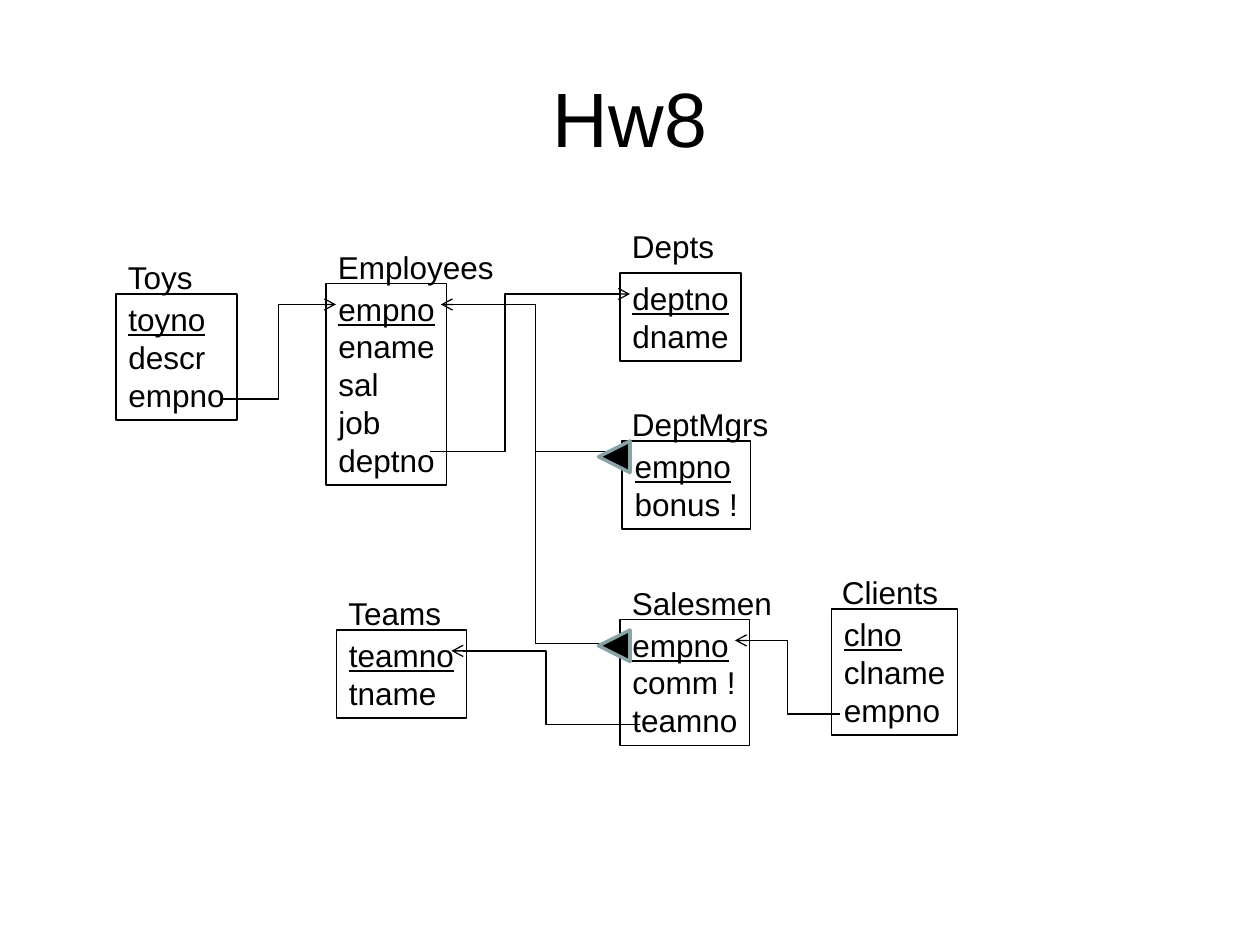
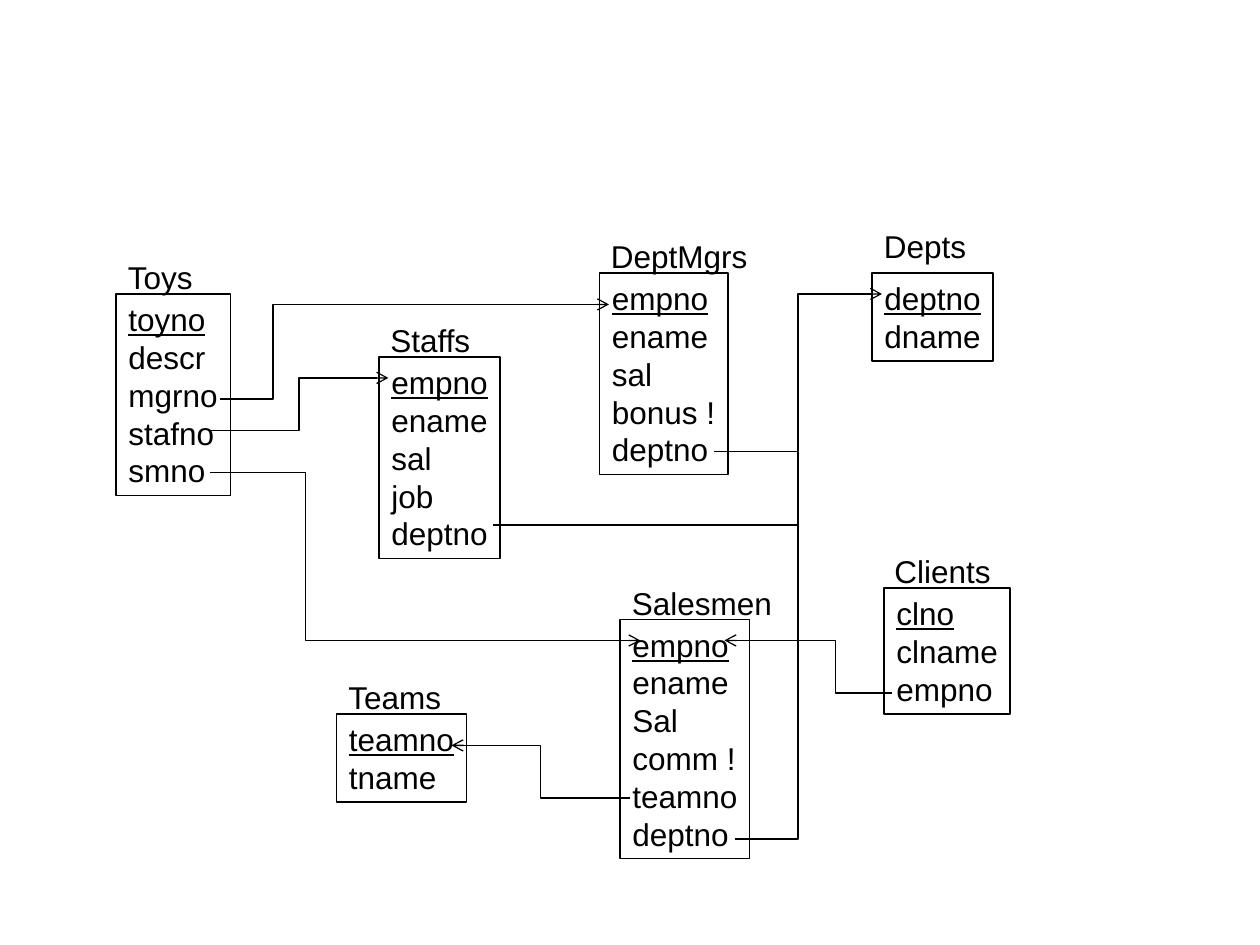
"""Build two relational schema diagrams on a grid of twelfths of an inch."""
import pptx
import pptx.util
import pptx.dml.color
import pptx.enum.shapes
import pptx.enum.text
import pptx.oxml.ns
from lxml import etree

BLACK = pptx.dml.color.RGBColor(0x00, 0x00, 0x00)
GREY_TEAL = pptx.dml.color.RGBColor(0x89, 0xA4, 0xA7)
FONT = "Arial"
CELLS_PER_INCH = 12
ROW_HEIGHT = 0.3
INSET = 0.05
LABEL_RISE = 4
LABEL_WIDTHS = {
    "Toys": 0.74, "Employees": 1.43, "Staffs": 0.84, "Depts": 0.85,
    "DeptMgrs": 1.28, "Salesmen": 1.31, "Teams": 0.96, "Clients": 0.96,
}

# Tables: name, column, row, width in inches, fields (the first is the key).
# Links: start, column of the vertical part, end, arrow at the end.
DIAGRAMS = [
    {
        "title": "Hw8",
        "tables": [
            ("Toys", 11.05, 28, 0.96, ["toyno", "descr", "empno"]),
            ("Employees", 31.05, 27, 0.96, ["empno", "ename", "sal", "job", "deptno"]),
            ("Depts", 59.05, 26, 0.96, ["deptno", "dname"]),
            ("DeptMgrs", 59.25, 42, 1.02, ["empno", "bonus !"]),
            ("Salesmen", 59.05, 59, 1.03, ["empno", "comm !", "teamno"]),
            ("Teams", 32.05, 60, 1.03, ["teamno", "tname"]),
            ("Clients", 79.2, 58, 1, ["clno", "clname", "empno"]),
        ],
        "links": [
            ((80, 68), 75, (70, 61), True),
            ((61, 69), 52, (43, 62), True),
            ((21, 38), 26.5, (32, 29), True),
            ((41, 43), 48.1, (60, 28), True),
            ((60, 43), 51, (42, 29), True),
            ((60, 61.3), 51, (51, 43), False),
        ],
        "triangles": [(57, 60), (57, 42)],
    },
    {
        "title": None,
        "tables": [
            ("Toys", 11.05, 28, 0.91, ["toyno", "descr", "mgrno", "stafno", "smno"]),
            ("Staffs", 36.1, 34, 0.96, ["empno", "ename", "sal", "job", "deptno"]),
            ("Depts", 83.05, 26, 0.96, ["deptno", "dname"]),
            ("DeptMgrs", 57.1, 26, 1.02, ["empno", "ename", "sal", "bonus !", "deptno"]),
            ("Salesmen", 59.05, 59, 1.03,
             ["empno", "ename", "Sal", "comm !", "teamno", "deptno"]),
            ("Teams", 32.05, 68, 1.03, ["teamno", "tname"]),
            ("Clients", 84.2, 56, 1, ["clno", "clname", "empno"]),
        ],
        "links": [
            ((85, 66), 79.6, (69, 61), True),
            ((60, 76), 51.5, (43, 71), True),
            ((21, 38), 26, (58, 29), True),
            ((68, 43), 76, (84, 28), True),
            ((70, 79.9), 76, (76, 43), False),
            ((47, 50), None, (76, 50), False),
            ((20, 41), 28.5, (37, 36), True),
            ((20, 45), 29.1, (61, 61), True),
        ],
        "triangles": [],
    },
]


def grid(cells):
    return pptx.util.Inches(cells / CELLS_PER_INCH)


def add_run(paragraph, text, size, underline=False):
    run = paragraph.add_run()
    run.text = text
    run.font.name = FONT
    run.font.size = pptx.util.Pt(size)
    run.font.color.rgb = BLACK
    run.font.underline = underline


def fill_text(shape, lines, key=False):
    frame = shape.text_frame
    frame.word_wrap = False
    frame.auto_size = pptx.enum.text.MSO_AUTO_SIZE.SHAPE_TO_FIT_TEXT
    frame.vertical_anchor = pptx.enum.text.MSO_ANCHOR.TOP
    frame.margin_left = pptx.util.Inches(2 * INSET)
    frame.margin_right = 0
    frame.margin_top = frame.margin_bottom = pptx.util.Inches(INSET)
    for index, line in enumerate(lines):
        paragraph = frame.add_paragraph() if index else frame.paragraphs[0]
        paragraph.alignment = pptx.enum.text.PP_ALIGN.LEFT
        add_run(paragraph, line, 18, key and index == 0)


def add_schema_table(slide, name, column, row, width, fields):
    group = slide.shapes.add_group_shape()
    rise = LABEL_RISE + 1 if name == "Depts" else LABEL_RISE
    label = group.shapes.add_textbox(
        grid(round(column)), grid(row - rise),
        pptx.util.Inches(LABEL_WIDTHS[name]),
        pptx.util.Inches(ROW_HEIGHT + 2 * INSET))
    fill_text(label, [name])
    box = group.shapes.add_shape(
        pptx.enum.shapes.MSO_SHAPE.RECTANGLE, grid(column), grid(row),
        pptx.util.Inches(width),
        pptx.util.Inches(ROW_HEIGHT * len(fields) + 2 * INSET))
    box.shadow.inherit = False
    box.fill.background()
    box.line.color.rgb = BLACK
    box.line.width = pptx.util.Pt(0.75)
    fill_text(box, fields, key=True)


def add_link(slide, start, bend, end, arrow):
    kinds = pptx.enum.shapes.MSO_CONNECTOR
    kind = kinds.STRAIGHT if bend is None else kinds.ELBOW
    link = slide.shapes.add_connector(kind, *map(grid, start + end))
    link.line.color.rgb = BLACK
    link.line.width = pptx.util.Pt(0.75)
    qn = pptx.oxml.ns.qn
    properties = link._element.spPr
    etree.SubElement(properties, qn("a:effectLst"))
    if bend is not None:
        share = (bend - start[0]) / (end[0] - start[0])
        guides = properties.find(qn("a:prstGeom")).find(qn("a:avLst"))
        etree.SubElement(guides, qn("a:gd"), name="adj1",
                         fmla=f"val {round(share * 100000)}")
    if arrow:
        outline = properties.find(qn("a:ln"))
        etree.SubElement(outline, qn("a:tailEnd"), type="arrow")


def add_triangle(slide, column, row):
    triangle = slide.shapes.add_shape(
        pptx.enum.shapes.MSO_SHAPE.ISOSCELES_TRIANGLE,
        grid(column), grid(row), grid(3), grid(3))
    triangle.rotation = 270
    triangle.shadow.inherit = False
    triangle.fill.solid()
    triangle.fill.fore_color.rgb = BLACK
    triangle.line.color.rgb = GREY_TEAL
    triangle.line.width = pptx.util.Pt(2)


def add_title(slide, text):
    title = slide.shapes.title
    title.left, title.top, title.width, title.height = map(
        pptx.util.Inches, (0.5, 0.3, 9, 1.25))
    title.text_frame.vertical_anchor = pptx.enum.text.MSO_ANCHOR.MIDDLE
    paragraph = title.text_frame.paragraphs[0]
    paragraph.alignment = pptx.enum.text.PP_ALIGN.CENTER
    add_run(paragraph, text, 44)


def main():
    presentation = pptx.Presentation()
    presentation.slide_width = pptx.util.Inches(10)
    presentation.slide_height = pptx.util.Inches(7.5)
    title_only, blank = presentation.slide_layouts[5], presentation.slide_layouts[6]
    for diagram in DIAGRAMS:
        slide = presentation.slides.add_slide(title_only if diagram["title"] else blank)
        if diagram["title"]:
            add_title(slide, diagram["title"])
        for table in diagram["tables"]:
            add_schema_table(slide, *table)
        for link in diagram["links"]:
            add_link(slide, *link)
        for corner in diagram["triangles"]:
            add_triangle(slide, *corner)
    presentation.save("out.pptx")


if __name__ == "__main__":
    main()
